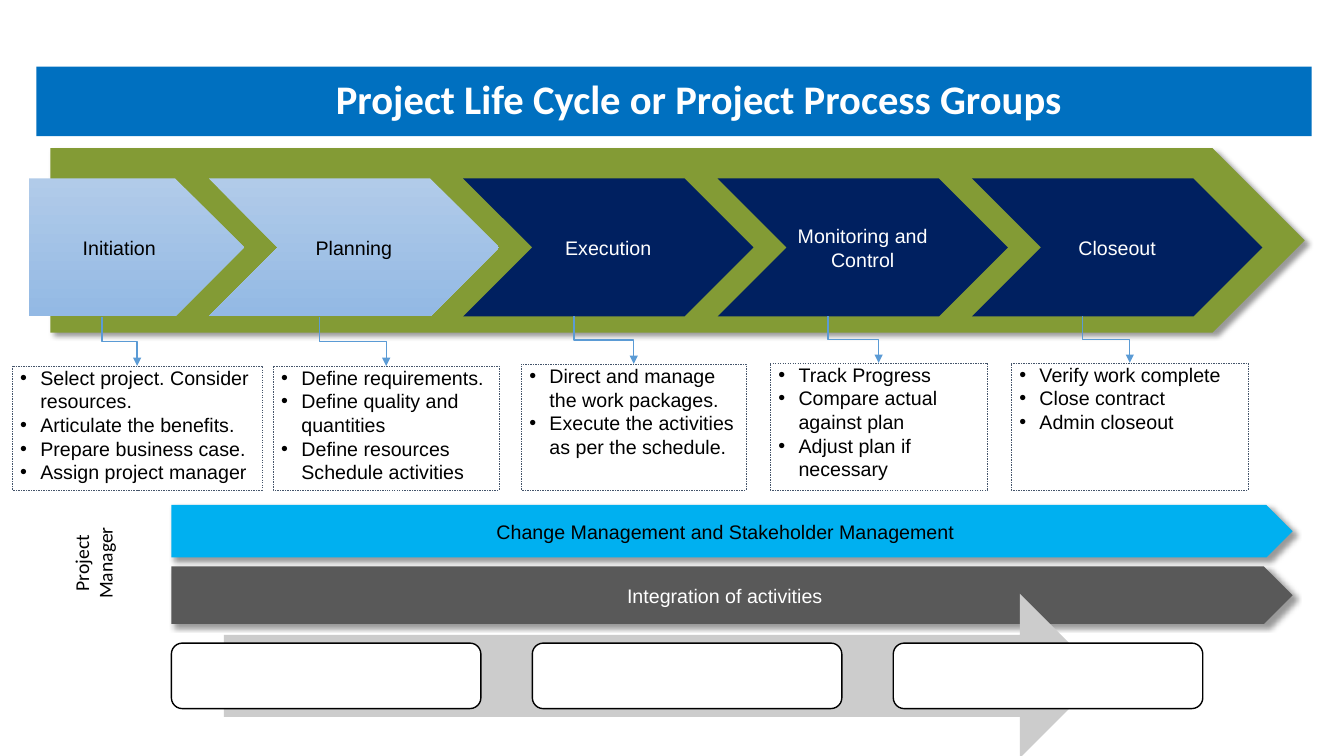
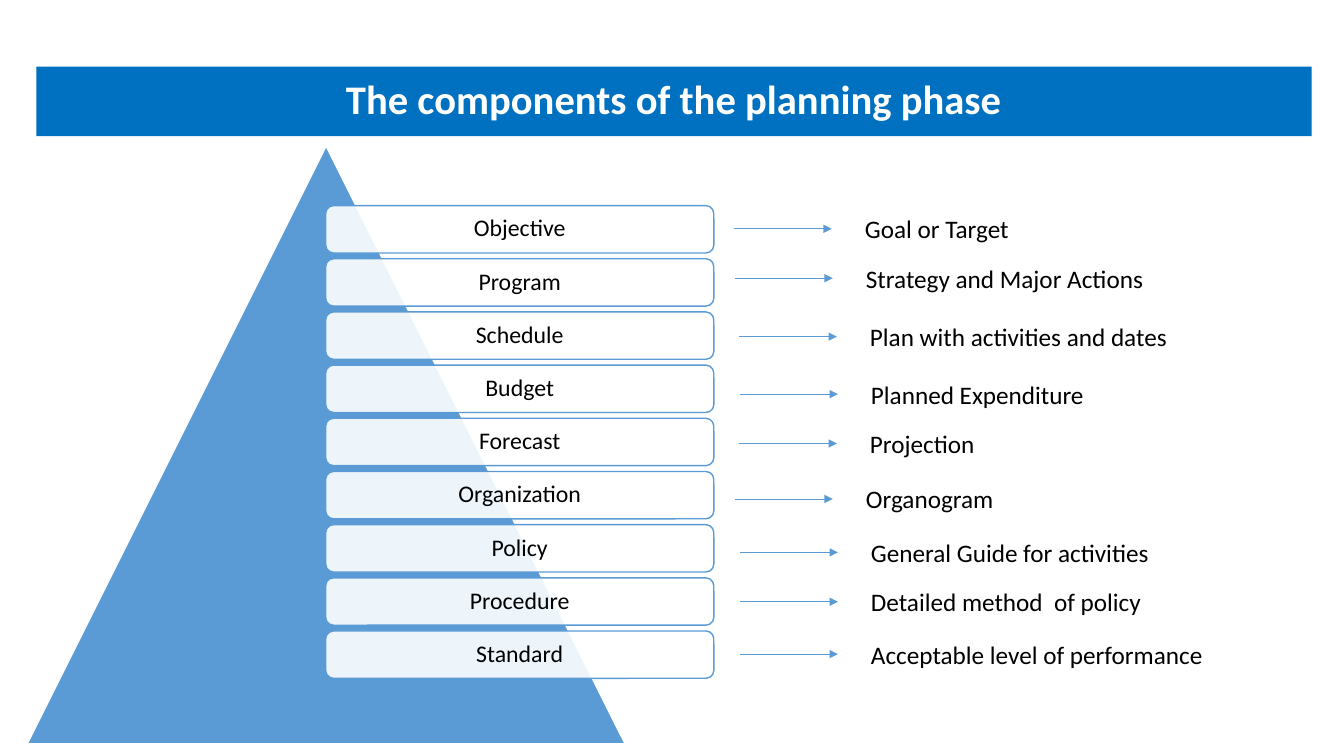
"""Builds two project management slides: the life cycle and the planning components."""
from dataclasses import dataclass

from lxml import etree
from pptx import Presentation
from pptx.dml.color import RGBColor
from pptx.enum.dml import MSO_LINE
from pptx.enum.shapes import MSO_CONNECTOR, MSO_SHAPE
from pptx.enum.text import MSO_ANCHOR, MSO_AUTO_SIZE, PP_ALIGN
from pptx.oxml.ns import qn
from pptx.util import Inches, Pt

RECT, ROUNDED, TRIANGLE = MSO_SHAPE.RECTANGLE, MSO_SHAPE.ROUNDED_RECTANGLE, MSO_SHAPE.ISOSCELES_TRIANGLE
PENTAGON, CHEVRON, BLOCK_ARROW = MSO_SHAPE.PENTAGON, MSO_SHAPE.CHEVRON, MSO_SHAPE.RIGHT_ARROW
STRAIGHT, ELBOW = MSO_CONNECTOR.STRAIGHT, MSO_CONNECTOR.ELBOW
LEFT, CENTER = PP_ALIGN.LEFT, PP_ALIGN.CENTER
TOP, MIDDLE = MSO_ANCHOR.TOP, MSO_ANCHOR.MIDDLE
FIT_SHAPE, DASH = MSO_AUTO_SIZE.SHAPE_TO_FIT_TEXT, MSO_LINE.DASH
SITE_TOP, SITE_BOTTOM = 0, 2


@dataclass(frozen=True)
class Theme:
    """Colours, fonts and type sizes shared by the slides."""
    heading: str = "Calibri"
    body: str = "Arial"
    title_size: int = 29
    meaning_size: int = 18
    component_size: int = 17
    body_size: int = 14
    black: str = "000000"
    white: str = "FFFFFF"
    band: str = "0070C0"
    accent: str = "5B9BD5"
    navy: str = "002060"
    green: str = "839B35"
    pale_top: str = "B1CBE9"
    pale_bottom: str = "93B9E4"
    dashed: str = "44546A"
    cyan: str = "00B0F0"
    charcoal: str = "595959"
    grey: str = "CCCCCC"


THEME = Theme()

LIFE_CYCLE_TITLE = "\tProject Life Cycle or Project Process Groups"
PHASES = [
    ("Initiation", (0.12, 3.63, 2.48), [
        "Select project. Consider resources.", "Articulate the benefits.",
        "Prepare business case.", "Assign project manager"]),
    ("Planning", (2.71, 3.63, 2.24), [
        "Define requirements.", "Define quality and quantities",
        "Define resources Schedule activities"]),
    ("Execution", (5.17, 3.61, 2.23), [
        "Direct and manage the work packages.",
        "Execute the activities as per the schedule."]),
    ("Monitoring and Control", (7.64, 3.6, 2.15), [
        "Track Progress", "Compare actual against plan", "Adjust plan if necessary"]),
    ("Closeout", (10.03, 3.6, 2.35), [
        "Verify work complete", "Close contract", "Admin closeout"]),
]
PALE_PHASES = ("Initiation", "Planning")
PHASE_TOP, PHASE_HEIGHT = 1.77, 1.37
TASKS_BOTTOM = 4.86
MANAGER = "Project Manager"
SUPPORT_BARS = [
    ("Integration of activities", 5.62, 0.57, THEME.charcoal, THEME.white),
    ("Change Management and Stakeholder Management", 5.01, 0.52, THEME.cyan, THEME.black),
]

PLANNING_TITLE = "The components of the planning phase"
COMPONENTS = [
    ("Objective", "Goal or Target", 7.28, 2.27, 1.99),
    ("Program", "Strategy and Major Actions", 7.29, 2.76, 2.98),
    ("Schedule", "Plan with activities and dates", 7.33, 3.34, 3.38),
    ("Budget", "Planned Expenditure", 7.34, 3.91, 2.81),
    ("Forecast", "Projection", 7.33, 4.4, 1.99),
    ("Organization", "Organogram", 7.29, 4.95, 1.99),
    ("Policy", "General Guide for activities", 7.34, 5.48, 3.04),
    ("Procedure", "Detailed method  of policy", 7.34, 5.97, 3.36),
    ("Standard", "Acceptable level of performance", 7.34, 6.49, 3.55),
]
FIRST_COMPONENT, LAST_COMPONENT = 2.04, 6.26


def rgb(value):
    """Turn a hex string into a colour."""
    return RGBColor.from_string(value)


def inches(*lengths):
    """Convert several lengths."""
    return [Inches(length) for length in lengths]


def child(parent, tag, **attributes):
    """Append a drawing element."""
    return etree.SubElement(parent, qn(tag), attributes)


def add_block(slide, kind, at, fill=None, line=None, width=1):
    """Add a preset shape with a flat fill and an optional outline."""
    block = slide.shapes.add_shape(kind, *inches(*at))
    block.shadow.inherit = False
    if fill:
        block.fill.solid()
        block.fill.fore_color.rgb = rgb(fill)
    else:
        block.fill.background()
    if line:
        block.line.color.rgb = rgb(line)
        block.line.width = Pt(width)
    else:
        block.line.fill.background()
    return block


def write(block, lines, size, font, color=THEME.black, align=CENTER, anchor=MIDDLE, bold=False, spacing=None):
    """Fill a shape with one paragraph per line and format it."""
    frame = block.text_frame
    frame.word_wrap = True
    frame.vertical_anchor = anchor
    frame.text = "\n".join(lines)
    for paragraph in frame.paragraphs:
        paragraph.alignment = align
        if spacing:
            paragraph.line_spacing = spacing
        for run in paragraph.runs:
            run.font.size = Pt(size)
            run.font.name = font
            run.font.bold = bold
            run.font.color.rgb = rgb(color)
    return frame


def cast_shadow(block):
    """Give a shape a soft shadow to the lower right."""
    effects = block._element.spPr.find(qn("a:effectLst"))
    shadow = child(effects, "a:outerShdw", blurRad=str(Pt(4)), dist=str(Pt(3)),
                   dir="2700000", algn="tl", rotWithShape="0")
    child(child(shadow, "a:srgbClr", val=THEME.black), "a:alpha", val="40000")


def add_arrow(slide, kind, start, end, width):
    """Add a connector with an arrowhead at its end."""
    arrow = slide.shapes.add_connector(kind, *inches(*start, *end))
    arrow.line.color.rgb = rgb(THEME.accent)
    arrow.line.width = Pt(width)
    child(arrow.line._get_or_add_ln(), "a:tailEnd", type="triangle")
    child(arrow._element.spPr, "a:effectLst")
    return arrow


def join_down(slide, phase, tasks, start, end):
    """Lead an elbow arrow down from a phase to its task box."""
    arrow = add_arrow(slide, ELBOW, start, end, 1)
    arrow.begin_connect(phase, SITE_BOTTOM)
    arrow.end_connect(tasks, SITE_TOP)
    (x1, y1), (x2, y2) = start, end
    run, drop = x2 - x1, y2 - y1
    arrow.left, arrow.top, arrow.width, arrow.height = inches(
        (x1 + x2 - drop) / 2, (y1 + y2 - run) / 2, drop, run)
    frame = arrow._element.spPr.find(qn("a:xfrm"))
    frame.set("rot", "16200000")
    frame.set("flipH", "1")


def add_titled_slide(deck, title):
    """Add a blank slide with the title band."""
    slide = deck.slides.add_slide(deck.slide_layouts[6])
    band = add_block(slide, RECT, (0.36, 0.66, 12.65, 0.69), THEME.band)
    write(band, [title], THEME.title_size, THEME.heading, THEME.white, bold=True, spacing=0.9)
    return slide


def add_phase(slide, index, name):
    """Add one step of the life cycle and return it with the x of its lower joint."""
    step = (9.64 - 2.07) / 3
    x, width = (2.07 + (index - 1) * step, 2.88) if index else (0.29, 2.13)
    pale = name in PALE_PHASES
    phase = add_block(slide, CHEVRON if index else PENTAGON,
                      (x, PHASE_TOP, width, PHASE_HEIGHT), THEME.navy)
    if pale:
        phase.fill.gradient()
        phase.fill.gradient_angle = 270
        for stop, color in zip(phase.fill.gradient_stops, (THEME.pale_top, THEME.pale_bottom)):
            stop.color.rgb = rgb(color)
    write(phase, [name], THEME.body_size, THEME.body, THEME.black if pale else THEME.white)
    return phase, x + (width - PHASE_HEIGHT / 2) / 2


def add_tasks(slide, x, y, width, tasks):
    """Add a dashed box with a bulleted task list."""
    box = add_block(slide, RECT, (x, y, width, TASKS_BOTTOM - y), line=THEME.dashed, width=0.25)
    box.line.dash_style = DASH
    frame = write(box, tasks, THEME.body_size, THEME.body, align=LEFT, anchor=TOP)
    frame.margin_left, frame.margin_top, frame.margin_right, frame.margin_bottom = inches(0.08, 0, 0.04, 0)
    for paragraph in frame.paragraphs:
        properties = paragraph._p.get_or_add_pPr()
        properties.set("marL", str(Inches(0.2)))
        properties.set("indent", str(-Inches(0.2)))
        child(properties, "a:buFont", typeface=THEME.body)
        child(properties, "a:buChar", char="•")
    return box


def build_life_cycle(deck):
    """Draw the five process groups, their tasks and the supporting bars."""
    slide = add_titled_slide(deck, LIFE_CYCLE_TITLE)
    cast_shadow(add_block(slide, PENTAGON, (0.5, 1.47, 12.44, 1.83), THEME.green))
    for index, (name, (x, y, width), tasks) in enumerate(PHASES):
        phase, joint = add_phase(slide, index, name)
        box = add_tasks(slide, x, y, width, tasks)
        join_down(slide, phase, box, (joint, PHASE_TOP + PHASE_HEIGHT), (x + width / 2, y))
    for text, y, height, fill, color in SUPPORT_BARS:
        bar = add_block(slide, PENTAGON, (1.7, y, 11.12, height), fill)
        cast_shadow(bar)
        write(bar, [text], THEME.body_size, THEME.body, color)
    add_block(slide, BLOCK_ARROW, (2.22, 5.89, 8.71, 1.63), THEME.grey)
    for column in range(3):
        add_block(slide, ROUNDED, (1.7 + column * 3.58, 6.38, 3.07, 0.65), THEME.white, THEME.black)
    manager = slide.shapes.add_textbox(*inches(0.64, 5.01, 0.67, 1.15))
    frame = write(manager, [MANAGER], THEME.body_size, THEME.heading, anchor=TOP)
    frame._txBody.bodyPr.set("vert", "vert270")


def build_planning(deck):
    """Draw the pyramid of planning components and their meanings."""
    slide = add_titled_slide(deck, PLANNING_TITLE)
    add_block(slide, TRIANGLE, (0.27, 1.45, 5.93, 5.93), THEME.accent, THEME.white)
    pitch = (LAST_COMPONENT - FIRST_COMPONENT) / (len(COMPONENTS) - 1)
    for row, (component, meaning, x, y, width) in enumerate(COMPONENTS):
        plate = add_block(slide, ROUNDED, (3.23, FIRST_COMPONENT + row * pitch, 3.85, 0.47),
                          THEME.white, THEME.accent)
        tint = plate._element.spPr.find(qn("a:solidFill"))[0]
        child(tint, "a:alpha", val="90000")
        write(plate, [component], THEME.component_size, THEME.heading, spacing=0.9)
        add_arrow(slide, STRAIGHT, (x, y), (x + 0.97, y), 0.5)
        note = slide.shapes.add_textbox(*inches(x + 1.2, y - 0.2, width, 0.4))
        frame = write(note, [meaning], THEME.meaning_size, THEME.heading, align=LEFT, anchor=TOP)
        frame.auto_size = FIT_SHAPE


def main():
    """Build and save the presentation."""
    deck = Presentation()
    deck.slide_width, deck.slide_height = inches(13.33, 7.5)
    build_life_cycle(deck)
    build_planning(deck)
    deck.save("out.pptx")


if __name__ == "__main__":
    main()
